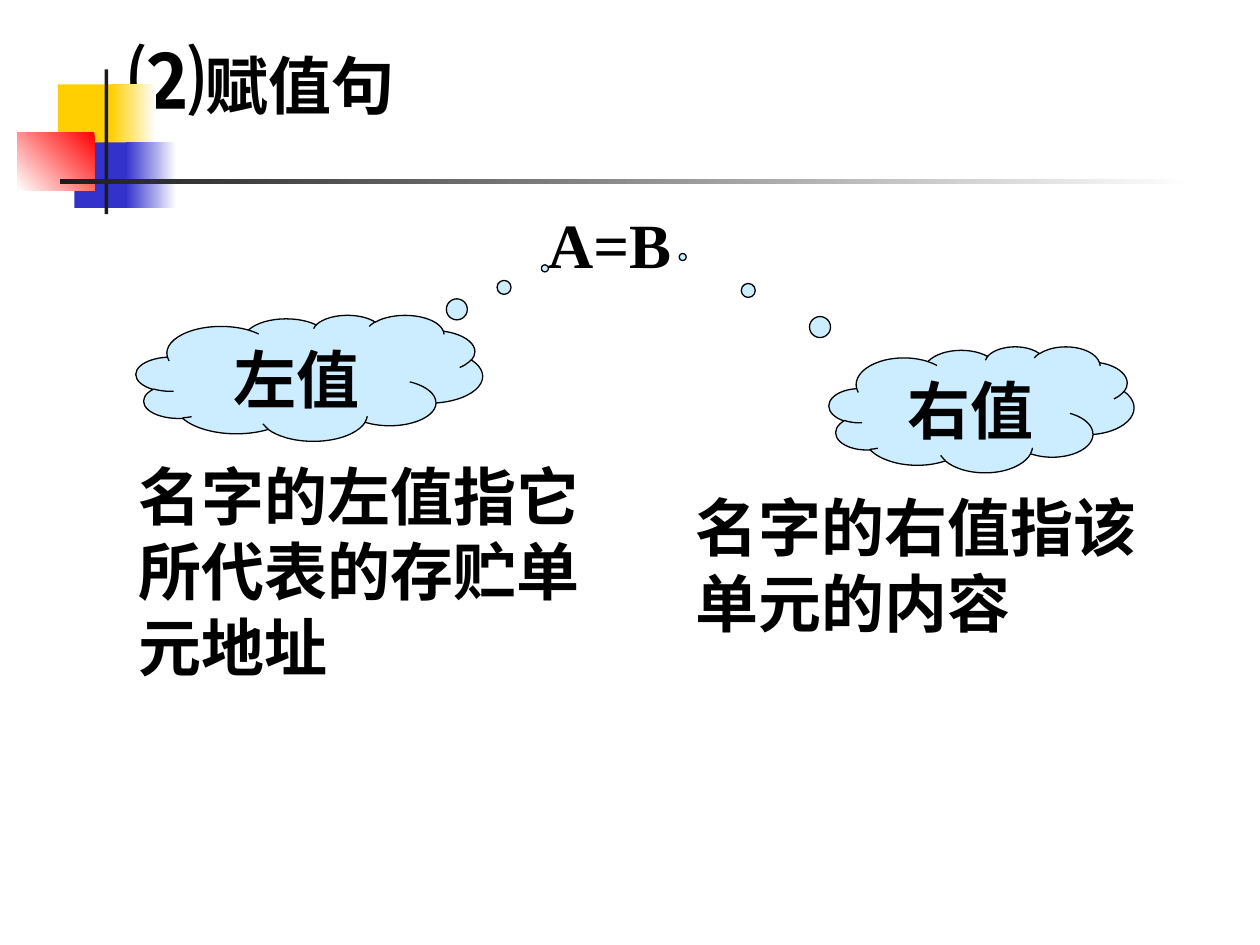
from pptx import Presentation
from pptx.dml.color import RGBColor
from pptx.enum.shapes import MSO_SHAPE
from pptx.enum.text import MSO_ANCHOR, MSO_AUTO_SIZE, PP_ALIGN
from pptx.util import Inches, Pt

RECTANGLE = MSO_SHAPE.RECTANGLE
CLOUD = MSO_SHAPE.CLOUD_CALLOUT
TOP = MSO_ANCHOR.TOP
NO_FIT = MSO_AUTO_SIZE.NONE
LEFT, CENTER = PP_ALIGN.LEFT, PP_ALIGN.CENTER
TITLE_ONLY = 5


def color(hex_code):
    """Return the colour for a hex string."""
    return RGBColor.from_string(hex_code)


class SlideBuilder:
    """Hold the style and the current slide."""

    serif, sans = "Times New Roman", "Cabin"
    ink, bar, cloud_blue = "000000", "1C1C1C", "CCECFF"
    size = 36

    def __init__(self, slide):
        """Start on the given slide."""
        self.slide = slide

    def add_runs(self, frame, runs, align=LEFT, wrap=True):
        """Fill a text frame with (text, size, font) runs."""
        frame.word_wrap = wrap
        frame.auto_size = NO_FIT
        frame.vertical_anchor = TOP
        paragraph = frame.paragraphs[0]
        paragraph.alignment = align
        for text, size, font in runs:
            run = paragraph.add_run()
            run.text = text
            run.font.size = Pt(size)
            run.font.name = font
            run.font.bold = True
            run.font.color.rgb = color(self.ink)

    def title(self, box, runs):
        """Place the title placeholder and fill it."""
        heading = self.slide.shapes.title
        heading.left, heading.top, heading.width, heading.height = map(Inches, box)
        self.add_runs(heading.text_frame, runs, wrap=False)

    def text(self, box, words):
        """Add a wrapped text box."""
        note = self.slide.shapes.add_textbox(*map(Inches, box))
        self.add_runs(note.text_frame, [(words, self.size, self.serif)])

    def block(self, box, start, end=None, angle=180):
        """Add a borderless rectangle, plain or with a gradient."""
        block = self.slide.shapes.add_shape(RECTANGLE, *map(Inches, box))
        block.shadow.inherit = False
        block.line.fill.background()
        if end is None:
            block.fill.solid()
            block.fill.fore_color.rgb = color(start)
            return
        block.fill.gradient()
        block.fill.gradient_angle = angle
        for stop, shade in zip(block.fill.gradient_stops, (start, end)):
            stop.color.rgb = color(shade)

    def cloud(self, box, pointer, words):
        """Add a thought cloud with its bubbles aimed at the pointer."""
        cloud = self.slide.shapes.add_shape(CLOUD, *map(Inches, box))
        cloud.shadow.inherit = False
        for index, offset in enumerate(pointer):
            cloud.adjustments[index] = offset
        cloud.fill.solid()
        cloud.fill.fore_color.rgb = color(self.cloud_blue)
        cloud.line.color.rgb = color(self.ink)
        cloud.line.width = Pt(0.75)
        self.add_runs(cloud.text_frame, [(words, self.size, self.serif)], CENTER)


def main():
    """Build the assignment statement slide."""
    deck = Presentation()
    deck.slide_width, deck.slide_height = Inches(10), Inches(7.5)
    page = SlideBuilder(deck.slides.add_slide(deck.slide_layouts[TITLE_ONLY]))

    white, yellow, blue, red = "FFFFFF", "FFCF01", "3333CC", "FF0000"
    page.block((0.46, 0.67, 0.48, 0.52), yellow)
    page.block((0.88, 0.67, 0.36, 0.52), white, yellow)
    page.block((0.59, 1.13, 0.46, 0.52), blue)
    page.block((1, 1.13, 0.4, 0.52), white, blue)
    page.block((0.14, 1.05, 0.61, 0.46), red, white, angle=225)
    page.block((0.83, 0.55, 0.03, 1.15), page.bar)
    page.block((0.48, 1.42, 9, 0.04), white, page.bar)

    page.title((0.92, 0.21, 2.42, 0.84),
               [("⑵", 44, page.sans), ("赋值句", page.size, page.serif)])
    page.text((4.25, 1.58, 2.5, 0.7), "A=B")
    page.cloud((1.08, 2.5, 2.75, 1), (0.68, -0.87), "左值")
    page.cloud((6.58, 2.75, 2.42, 1), (-0.98, -1.21), "右值")
    page.text((1, 3.58, 3.92, 1.9), "名字的左值指它所代表的存贮单元地址")
    page.text((5.42, 3.83, 3.92, 1.3), "名字的右值指该 单元的内容")

    deck.save("out.pptx")


if __name__ == "__main__":
    main()
